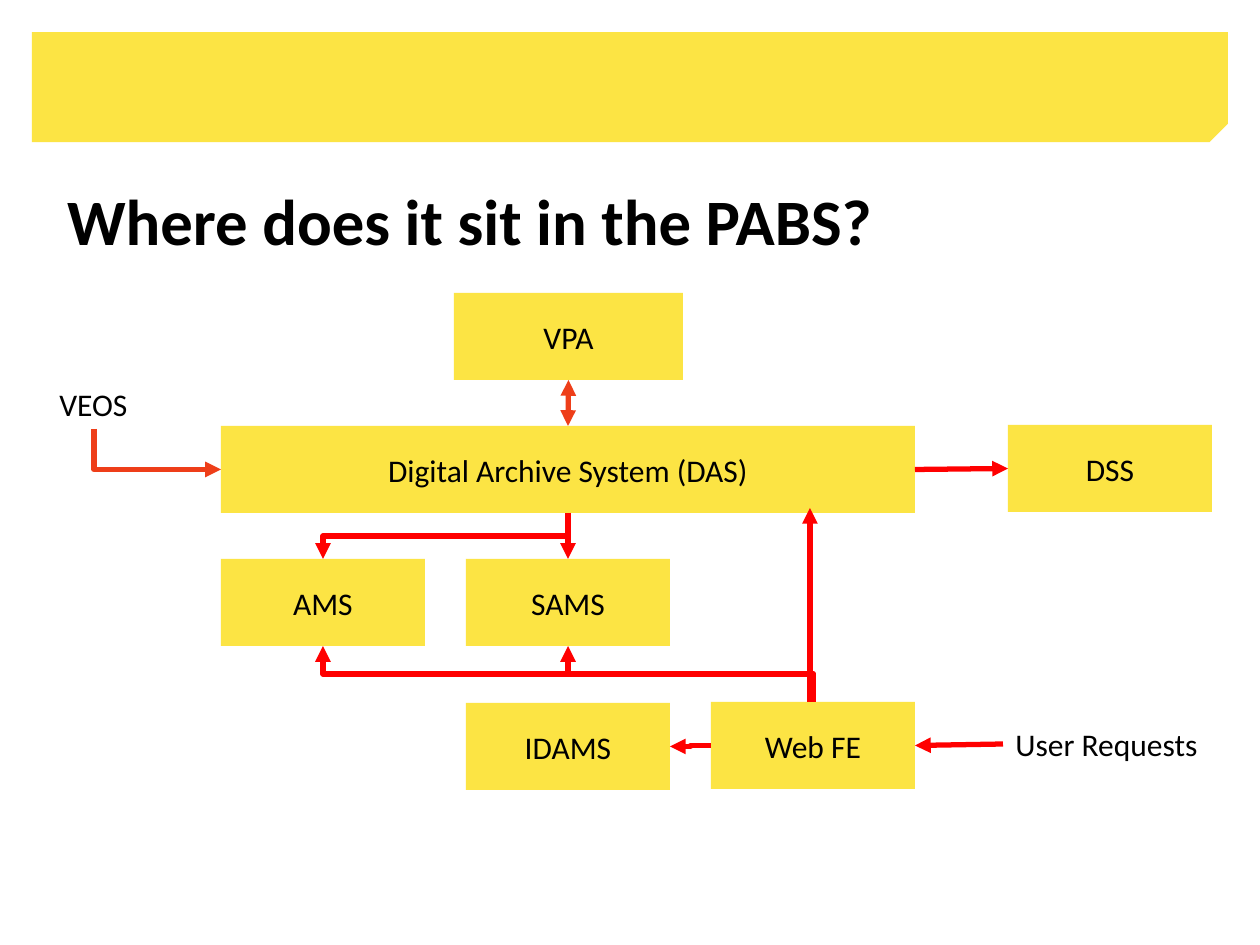
from lxml.etree import SubElement
from pptx import Presentation
from pptx.dml.color import RGBColor
from pptx.enum.shapes import MSO_CONNECTOR, MSO_SHAPE
from pptx.enum.text import MSO_ANCHOR, PP_ALIGN
from pptx.oxml.ns import qn
from pptx.util import Pt

# Content, in px
HUES = {"box": "FCE444", "text": "000000", "red": "FF0000", "rust": "EE3E19"}
FONT = "Calibri"
TITLE = "Where does it sit in the PABS?"
WIDE, HIGH = 204, 87
BOXES = {  # name: left, top, width
    "VPA": (454, 293, 229),
    "Digital Archive System (DAS)": (221, 426, 694),
    "AMS": (221, 559, WIDE),
    "DSS": (1008, 425, WIDE),
    "SAMS": (466, 559, WIDE),
    "Web FE": (711, 702, WIDE),
    "IDAMS": (466, 703, WIDE),
}
LABELS = {"VEOS": (47, 379, 94, 50), "User Requests": (1003, 719, 209, 50)}
DAS = "Digital Archive System (DAS)"
LINKS = [  # route, from, to, hue, arrowheads
    ("corner", ("VEOS", "bottom"), (DAS, "left"), "rust", ["tail"]),
    ("line", ("VPA", "bottom"), (DAS, "top"), "rust", ["head", "tail"]),
    ("drop", (DAS, "bottom"), ("AMS", "top"), "red", ["tail"]),
    ("line", (DAS, "bottom"), ("SAMS", "top"), "red", ["tail"]),
    ("line", (810, 508), (810, 702), "red", ["head"]),
    ("line", (DAS, "right"), ("DSS", "left"), "red", ["tail"]),
    ("drop", ("SAMS", "bottom"), ("Web FE", "top"), "red", ["head"]),
    ("drop", ("AMS", "bottom"), ("Web FE", "top"), "red", ["head"]),
    ("line", ("User Requests", "left"), ("Web FE", "right"), "red", ["tail"]),
    ("step", ("Web FE", "left"), ("IDAMS", "right"), "red", ["tail"]),
]
AREAS = {name: (*box, HIGH) for name, box in BOXES.items()} | LABELS


def px(*vals):
    return [round(val * 914400 / 126) for val in vals]


def tint(hue):
    return RGBColor.from_string(HUES[hue])


def write(frame, text, size, align, bold=False, inset=True):
    frame.text = text
    frame.vertical_anchor = MSO_ANCHOR.MIDDLE
    if inset:
        frame.margin_left = frame.margin_right = 0
        frame.margin_top = frame.margin_bottom = 0
    para = frame.paragraphs[0]
    para.alignment = align
    para.font.name, para.font.size, para.font.bold = FONT, Pt(size), bold
    para.font.color.rgb = tint("text")


def block(kind, area):
    shape = slide.shapes.add_shape(kind, *px(*area))
    shape.shadow.inherit = False
    shape.fill.solid()
    shape.fill.fore_color.rgb = tint("box")
    shape.line.fill.background()
    return shape


def point(end):
    name, side = end
    if name not in AREAS:
        return end
    x, y, w, h = AREAS[name]
    return {"left": (x, y + h / 2), "right": (x + w, y + h / 2),
            "top": (x + w / 2, y), "bottom": (x + w / 2, y + h)}[side]


def link(route, start, stop, hue, heads):
    (x1, y1), (x2, y2) = point(start), point(stop)
    kind = MSO_CONNECTOR.STRAIGHT if route == "line" else MSO_CONNECTOR.ELBOW
    turn = 0
    if route in ("drop", "corner"):
        # Leaves downward: lay the elbow on its side, then turn it
        midx, midy = (x1 + x2) / 2, (y1 + y2) / 2
        half, tall = (y2 - y1) / 2, abs(x2 - x1) / 2
        turn = 90 if x2 < x1 else 270
        if turn == 270:
            half = -half
        x1, x2, y1, y2 = midx - half, midx + half, midy - tall, midy + tall
    wire = slide.shapes.add_connector(kind, *px(x1, y1, x2, y2))
    wire.line.color.rgb = tint(hue)
    wire.line.width = Pt(3)
    props = wire._element.spPr
    if turn:
        props.find(qn("a:xfrm")).set("rot", str(turn * 60000))
    if route == "corner":
        props.find(qn("a:prstGeom")).set("prst", "bentConnector2")
    for head in heads:
        SubElement(props.find(qn("a:ln")), qn(f"a:{head}End"), type="triangle")
    SubElement(props, qn("a:effectLst"))


deck = Presentation()
deck.slide_width, deck.slide_height = px(1260, 945)
slide = deck.slides.add_slide(deck.slide_layouts[5])

# Top band, with its snipped corner at the bottom right
band = block(MSO_SHAPE.SNIP_1_RECTANGLE, (32, 32, 1196, 110))
band.rotation = 180
band._element.spPr.find(qn("a:xfrm")).set("flipH", "1")

# Title
title = slide.shapes.title
title.left, title.top, title.width, title.height = px(67, 176, 1126, 87)
write(title.text_frame, TITLE, 37, PP_ALIGN.LEFT, bold=True)

# Boxes and free labels
for name in BOXES:
    box = block(MSO_SHAPE.RECTANGLE, AREAS[name])
    write(box.text_frame, name, 18, PP_ALIGN.CENTER)
for name, area in LABELS.items():
    label = slide.shapes.add_textbox(*px(*area))
    label.text_frame.word_wrap = False
    write(label.text_frame, name, 18, PP_ALIGN.LEFT, inset=False)

# Arrows
for item in LINKS:
    link(*item)

deck.save("out.pptx")
